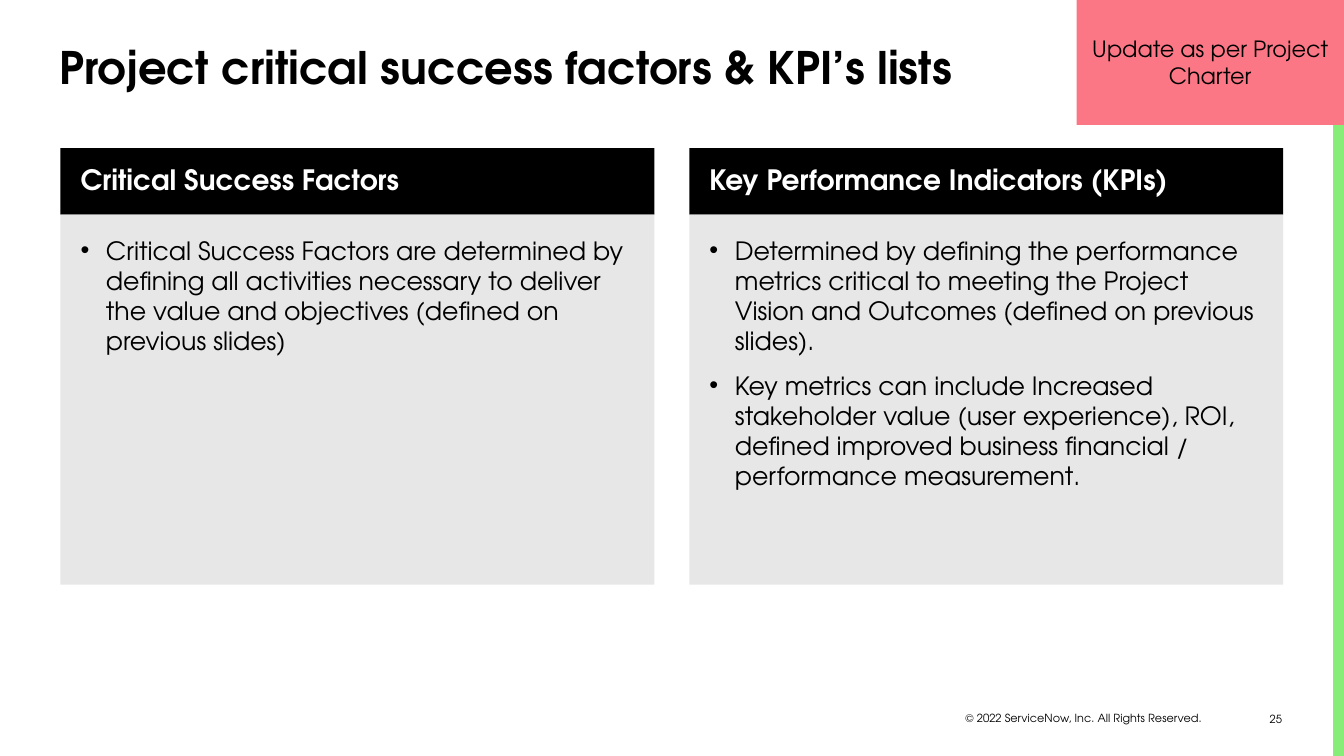
from lxml.etree import SubElement
from pptx import Presentation
from pptx.dml.color import RGBColor
from pptx.enum.shapes import MSO_SHAPE
from pptx.enum.text import MSO_ANCHOR as Anchor, MSO_AUTO_SIZE as AutoSize, PP_ALIGN as Align
from pptx.oxml.ns import qn
from pptx.util import Cm, Pt

FONT = "TeX Gyre Adventor"
BLACK, WHITE, GREY, GREEN, PINK = "000000", "FFFFFF", "E7E7E7", "86ED78", "FC7786"


def paint(target, color):
    """Fill a shape with a solid colour and leave it without outline."""
    target.fill.solid()
    target.fill.fore_color.rgb = RGBColor.from_string(color)
    target.line.fill.background()


def write(shape, box, texts, size, color=BLACK, bold=False, align=Align.LEFT,
          anchor=Anchor.TOP, insets=(0.25, 0.13), spacing=1.0, bullets=False):
    """Place a shape and set its paragraphs."""
    shape.left, shape.top, shape.width, shape.height = [Cm(length) for length in box]
    frame = shape.text_frame
    frame.text = "\n".join(texts)
    frame.word_wrap = True
    frame.auto_size = AutoSize.NONE
    frame.vertical_anchor = anchor
    frame.margin_left = frame.margin_right = Cm(insets[0])
    frame.margin_top = frame.margin_bottom = Cm(insets[1])
    for index, paragraph in enumerate(frame.paragraphs):
        if bullets:
            properties = paragraph._p.get_or_add_pPr()
            properties.set("marL", str(Cm(0.64)))
            properties.set("indent", str(-Cm(0.64)))
            SubElement(properties, qn("a:buFont"), typeface="Arial")
            SubElement(properties, qn("a:buChar"), char="•")
        paragraph.alignment = align
        paragraph.line_spacing = spacing
        paragraph.space_before = Pt(4 if index else 0)
        paragraph.space_after = Pt(6 if bullets else 0)
        paragraph.font.name = FONT
        paragraph.font.size = Pt(size)
        paragraph.font.bold = bold
        paragraph.font.color.rgb = RGBColor.from_string(color)


presentation = Presentation()
presentation.slide_width, presentation.slide_height = Cm(33.87), Cm(19.05)
slide = presentation.slides.add_slide(presentation.slide_layouts.get_by_name("Comparison"))
shapes = slide.shapes
placeholders = slide.placeholders

# Footer
copyright_box = shapes.add_textbox(0, 0, 0, 0)
write(copyright_box, (22.05, 17.81, 8.5, 0.58),
      ["© 2022 ServiceNow, Inc. All Rights Reserved."], 8,
      align=Align.RIGHT, anchor=Anchor.MIDDLE)
page_number = shapes.add_textbox(0, 0, 0, 0)
write(page_number, (30.71, 17.81, 1.85, 0.64), ["25"], 8, align=Align.RIGHT)

# Green edge
edge = shapes.add_shape(MSO_SHAPE.RECTANGLE, Cm(33.6), 0, Cm(0.27), Cm(19.05))
edge.shadow.inherit = False
paint(edge, GREEN)

# Title
write(shapes.title, (1.24, 0.86, 31.09, 1.78),
      ["Project critical success factors & KPI’s lists"], 32, bold=True)

# Two columns: heading and list
columns = [
    (1.52, "Critical Success Factors", [
        "Critical Success Factors are determined by defining all activities necessary "
        "to deliver the value and objectives (defined on previous slides)",
    ]),
    (17.37, "Key Performance Indicators (KPIs)", [
        "Determined by defining the performance metrics critical to meeting the Project "
        "Vision and Outcomes (defined on previous slides).",
        "Key metrics can include Increased stakeholder value (user experience), ROI, "
        "defined improved business financial / performance measurement.",
    ]),
]
for number, (left, heading, items) in enumerate(columns):
    header = placeholders[1 + 2 * number]
    paint(header, BLACK)
    write(header, (left, 3.73, 14.97, 1.68), [heading], 20, WHITE, bold=True,
          anchor=Anchor.MIDDLE, insets=(0.51, 0.13), spacing=0.9)
    body = placeholders[2 + 2 * number]
    paint(body, GREY)
    write(body, (left, 5.41, 14.97, 9.32), items, 18, insets=(0.51, 0.51), bullets=True)

# Reminder tag
tag = shapes.add_shape(MSO_SHAPE.RECTANGLE, 0, 0, 0, 0)
tag.shadow.inherit = False
paint(tag, PINK)
write(tag, (27.13, 0, 6.74, 3.15), ["Update as per Project Charter"], 16,
      align=Align.CENTER, anchor=Anchor.MIDDLE)

presentation.save("out.pptx")
